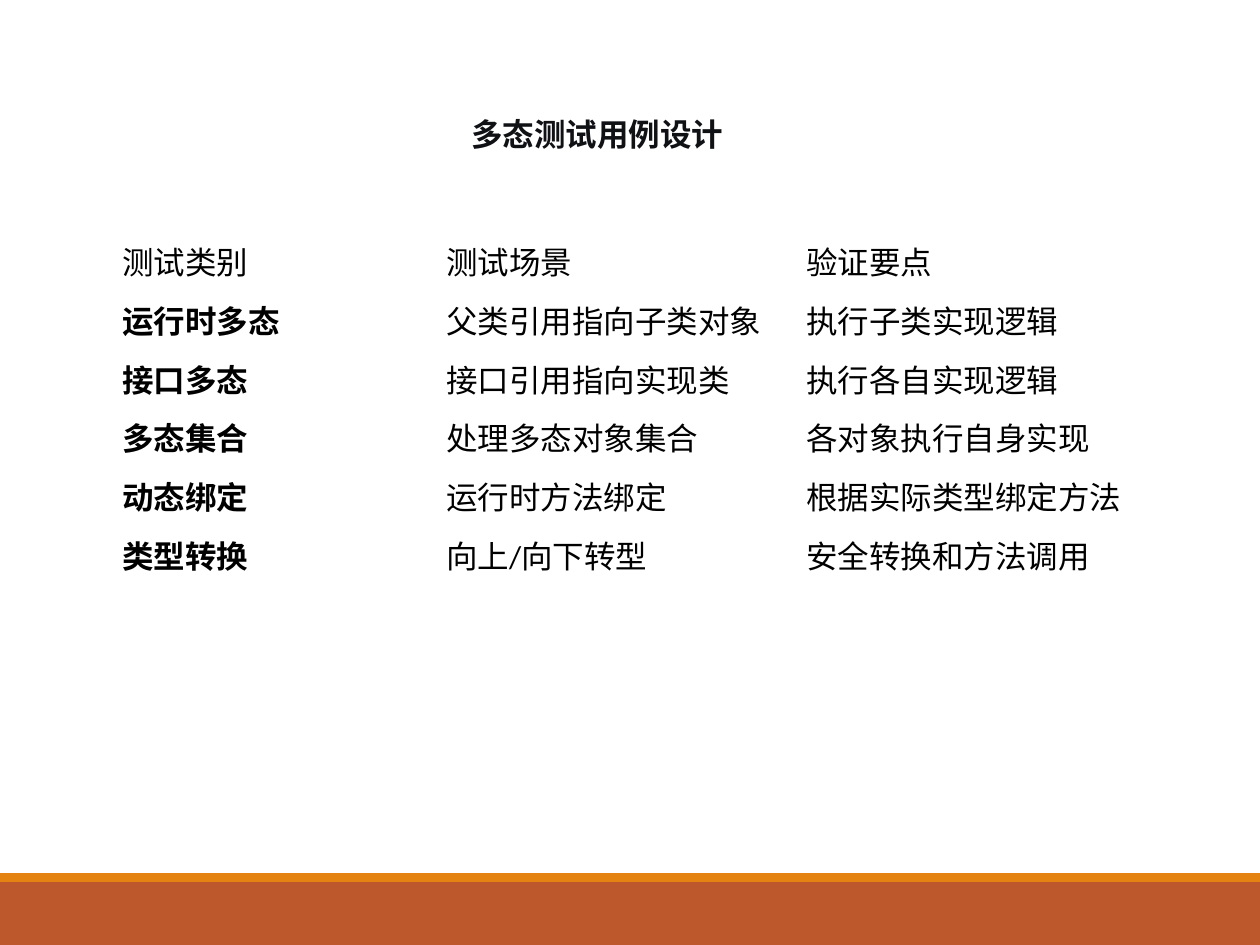
"""Build a slide with a table of polymorphism test cases."""
from lxml.etree import SubElement
from pptx import Presentation
from pptx.dml.color import RGBColor
from pptx.enum.shapes import MSO_SHAPE
from pptx.enum.text import MSO_ANCHOR, MSO_AUTO_SIZE, PP_ALIGN
from pptx.oxml.ns import qn
from pptx.util import Inches, Pt

HEADING = "多态测试用例设计"
TEST_CASES = [
    ("测试类别", "测试场景", "验证要点"),
    ("运行时多态", "父类引用指向子类对象", "执行子类实现逻辑"),
    ("接口多态", "接口引用指向实现类", "执行各自实现逻辑"),
    ("多态集合", "处理多态对象集合", "各对象执行自身实现"),
    ("动态绑定", "运行时方法绑定", "根据实际类型绑定方法"),
    ("类型转换", "向上/向下转型", "安全转换和方法调用"),
]
COLORS = {"white": "FFFFFF", "rust": "BD582C", "orange": "E48312",
          "heading": "0F1115", "text": "000000"}
FOOTER_BANDS = [("rust", 7, 0.5), ("orange", 6.93, 0.07)]
COLUMN_WIDTHS = [2.53, 2.86, 2.86]
TABLE_LEFT, TABLE_TOP, TABLE_HEIGHT = 0.88, 1.86, 2.8
HEADING_BOX = {"left": 3.74, "top": 0.68, "width": 2.02, "height": 0.94}
HEADING_FRAME = {"margin_left": 0, "margin_right": 0,
                 "margin_top": Inches(0.23), "margin_bottom": Inches(0.11),
                 "vertical_anchor": MSO_ANCHOR.TOP, "word_wrap": False,
                 "auto_size": MSO_AUTO_SIZE.NONE}


def rgb(name):
    return RGBColor.from_string(COLORS[name])


def apply(target, values):
    for key, value in values.items():
        setattr(target, key, value)


def style_run(run, face, color, bold):
    apply(run.font, {"name": face, "size": Pt(18), "bold": bold})
    run.font.color.rgb = rgb(color)


def add_footer(slide):
    for color, top, height in FOOTER_BANDS:
        band = slide.shapes.add_shape(MSO_SHAPE.RECTANGLE, 0, Inches(top),
                                      Inches(10), Inches(height))
        band.shadow.inherit = False
        band.fill.solid()
        band.fill.fore_color.rgb = rgb(color)
        band.line.fill.background()


def add_heading(slide):
    heading = slide.shapes.title
    apply(heading, {side: Inches(size) for side, size in HEADING_BOX.items()})
    heading.fill.solid()
    heading.fill.fore_color.rgb = rgb("white")
    apply(heading.text_frame, HEADING_FRAME)
    heading.text_frame.text = HEADING
    line = heading.text_frame.paragraphs[0]
    line.alignment = PP_ALIGN.LEFT
    style_run(line.runs[0], "Arial", "heading", True)


def add_test_cases(slide):
    table = slide.shapes.add_table(
        len(TEST_CASES), len(COLUMN_WIDTHS), Inches(TABLE_LEFT), Inches(TABLE_TOP),
        Inches(sum(COLUMN_WIDTHS)), Inches(TABLE_HEIGHT)).table
    apply(table, {"first_row": False, "horz_banding": False})
    for column, width in zip(table.columns, COLUMN_WIDTHS):
        column.width = Inches(width)
    for row, test_case in enumerate(TEST_CASES):
        for col, wording in enumerate(test_case):
            cell = table.cell(row, col)
            cell.fill.background()
            apply(cell, {
                "text": wording, "vertical_anchor": MSO_ANCHOR.MIDDLE,
                "margin_left": Inches(0.09 if col == 0 else 0.13),
                "margin_right": Inches(0.1 if row and col == 2 else 0.13),
                "margin_top": Inches(0.08), "margin_bottom": Inches(0.08)})
            run = cell.text_frame.paragraphs[0].runs[0]
            style_run(run, "Calibri", "text", row > 0 and col == 0)
            SubElement(run._r.get_or_add_rPr(), qn("a:ea"), typeface="Calibri")


def main():
    deck = Presentation()
    apply(deck, {"slide_width": Inches(10), "slide_height": Inches(7.5)})
    slide = deck.slides.add_slide(deck.slide_layouts.get_by_name("Title Only"))
    slide.background.fill.solid()
    slide.background.fill.fore_color.rgb = rgb("white")
    add_footer(slide)
    add_test_cases(slide)
    add_heading(slide)
    deck.save("out.pptx")


if __name__ == "__main__":
    main()
